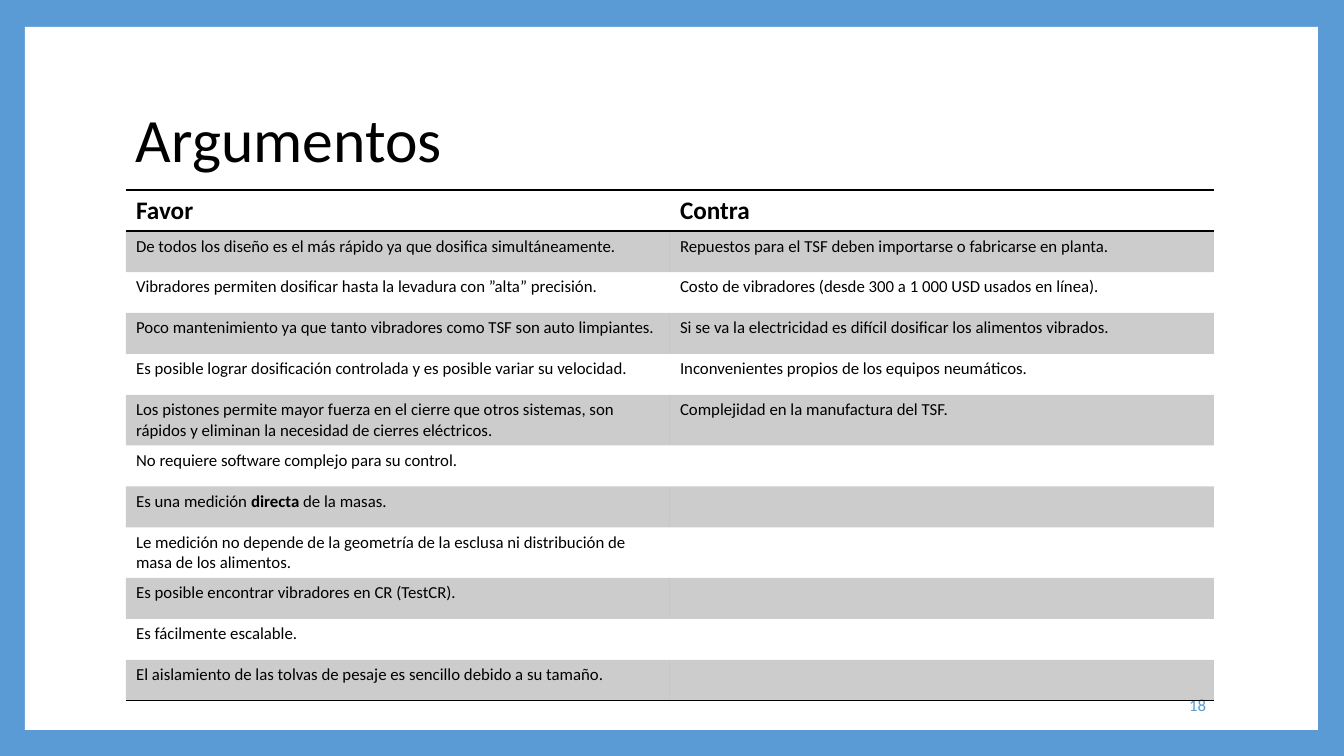
from lxml import etree
from pptx import Presentation
from pptx.dml.color import RGBColor
from pptx.enum.shapes import MSO_SHAPE
from pptx.enum.text import MSO_ANCHOR, PP_ALIGN
from pptx.oxml.ns import qn
from pptx.util import Emu, Pt

RECTANGLE = MSO_SHAPE.RECTANGLE
MIDDLE = MSO_ANCHOR.MIDDLE
LEFT, RIGHT = PP_ALIGN.LEFT, PP_ALIGN.RIGHT
SCALE = 914400 / 100.8
FONT = "Calibri"
COLORS = {"frame": "5B9BD5", "paper": "FFFFFF", "ink": "000000"}
PLAIN_TABLE = "{2D5ABB26-0587-4C30-8999-92F81FD0307C}"
ROW_HEIGHT = 41
BAND_ALPHA = 20000

HEADINGS = ["Favor", "Contra"]
FOR = [
    "De todos los diseño es el más rápido ya que dosifica simultáneamente.",
    "Vibradores permiten dosificar hasta la levadura con ”alta” precisión.",
    "Poco mantenimiento ya que tanto vibradores como TSF son auto limpiantes.",
    "Es posible lograr dosificación controlada y es posible variar su velocidad.",
    "Los pistones permite mayor fuerza en el cierre que otros sistemas, son "
    "rápidos y eliminan la necesidad de cierres eléctricos.",
    "No requiere software complejo para su control.",
    "Es una medición *directa *de la masas.",
    "Le medición no depende de la geometría de la esclusa ni distribución de "
    "masa de los alimentos.",
    "Es posible encontrar vibradores en CR (TestCR).",
    "Es fácilmente escalable.",
    "El aislamiento de las tolvas de pesaje es sencillo debido a su tamaño.",
]
AGAINST = [
    "Repuestos para el TSF deben importarse o fabricarse en planta.",
    "Costo de vibradores (desde 300 a 1 000 USD usados en línea).",
    "Si se va la electricidad es difícil dosificar los alimentos vibrados.",
    "Inconvenientes propios de los equipos neumáticos.",
    "Complejidad en la manufactura del TSF.",
]


def px(length):
    """Turn pixels into EMU."""
    return Emu(round(length * SCALE))


def color(name):
    """Look up a named colour."""
    return RGBColor.from_string(COLORS[name])


def add_span(para, text, size, ink="ink", bold=False):
    """Add one formatted run to a paragraph."""
    span = para.add_run()
    span.text = text
    span.font.name = FONT
    span.font.size = Pt(size)
    span.font.bold = bold
    span.font.color.rgb = color(ink)


def add_frame(page, box):
    """Colour the page edge and lay the white sheet inside it."""
    page.background.fill.solid()
    page.background.fill.fore_color.rgb = color("frame")
    sheet = page.shapes.add_shape(RECTANGLE, *map(px, box))
    sheet.shadow.inherit = False
    sheet.fill.solid()
    sheet.fill.fore_color.rgb = color("paper")
    sheet.line.fill.background()


def add_label(page, box, text, size, ink="ink", align=LEFT):
    """Add a single line of text centred vertically in its box."""
    frame = page.shapes.add_textbox(*map(px, box)).text_frame
    frame.word_wrap = True
    frame.vertical_anchor = MIDDLE
    para = frame.paragraphs[0]
    para.alignment = align
    para.line_spacing = 0.9
    add_span(para, text, size, ink)


def add_borders(cell, sides):
    """Draw one-point rules on the named sides of a cell."""
    properties = cell._tc.get_or_add_tcPr()
    for index, side in enumerate(sides):
        line = etree.Element(qn(f"a:ln{side}"), w=str(Pt(1)))
        fill = etree.SubElement(line, qn("a:solidFill"))
        etree.SubElement(fill, qn("a:srgbClr"), val=COLORS["ink"])
        properties.insert(index, line)


def shade(cell, banded):
    """Fill a banded cell with translucent ink and leave others clear."""
    if not banded:
        cell.fill.background()
        return
    cell.fill.solid()
    cell.fill.fore_color.rgb = color("ink")
    ink = cell._tc.tcPr.find(f".//{qn('a:srgbClr')}")
    etree.SubElement(ink, qn("a:alpha"), val=str(BAND_ALPHA))


def add_arguments(page, box):
    """Build the two-column table of arguments."""
    against = AGAINST + [""] * (len(FOR) - len(AGAINST))
    rows = [HEADINGS, *zip(FOR, against)]
    left, top, width = box
    table = page.shapes.add_table(
        len(rows), len(HEADINGS), px(left), px(top), px(width),
        px(ROW_HEIGHT * len(rows))).table
    table.first_row = table.horz_banding = False
    table._tbl.tblPr.find(qn("a:tableStyleId")).text = PLAIN_TABLE
    for index, texts in enumerate(rows):
        table.rows[index].height = px(ROW_HEIGHT)
        heading = index == 0
        for column, text in enumerate(texts):
            cell = table.cell(index, column)
            shade(cell, index % 2 == 1)
            if heading:
                add_borders(cell, "TB")
            elif index == len(rows) - 1:
                add_borders(cell, "B")
            para = cell.text_frame.paragraphs[0]
            for part, words in enumerate(text.split("*")):
                if words:
                    add_span(para, words, 18 if heading else 12,
                             bold=heading or part % 2 == 1)


def main():
    """Build and save the deck."""
    deck = Presentation()
    deck.slide_width, deck.slide_height = px(1344), px(756)
    page = deck.slides.add_slide(deck.slide_layouts[6])
    add_frame(page, (25, 27, 1293, 703))
    add_label(page, (126, 68, 1088, 149), "Argumentos", 44)
    add_label(page, (1028, 686, 188, 40), "18", 12, "frame", RIGHT)
    add_arguments(page, (126, 190, 1088))
    deck.save("out.pptx")


if __name__ == "__main__":
    main()
